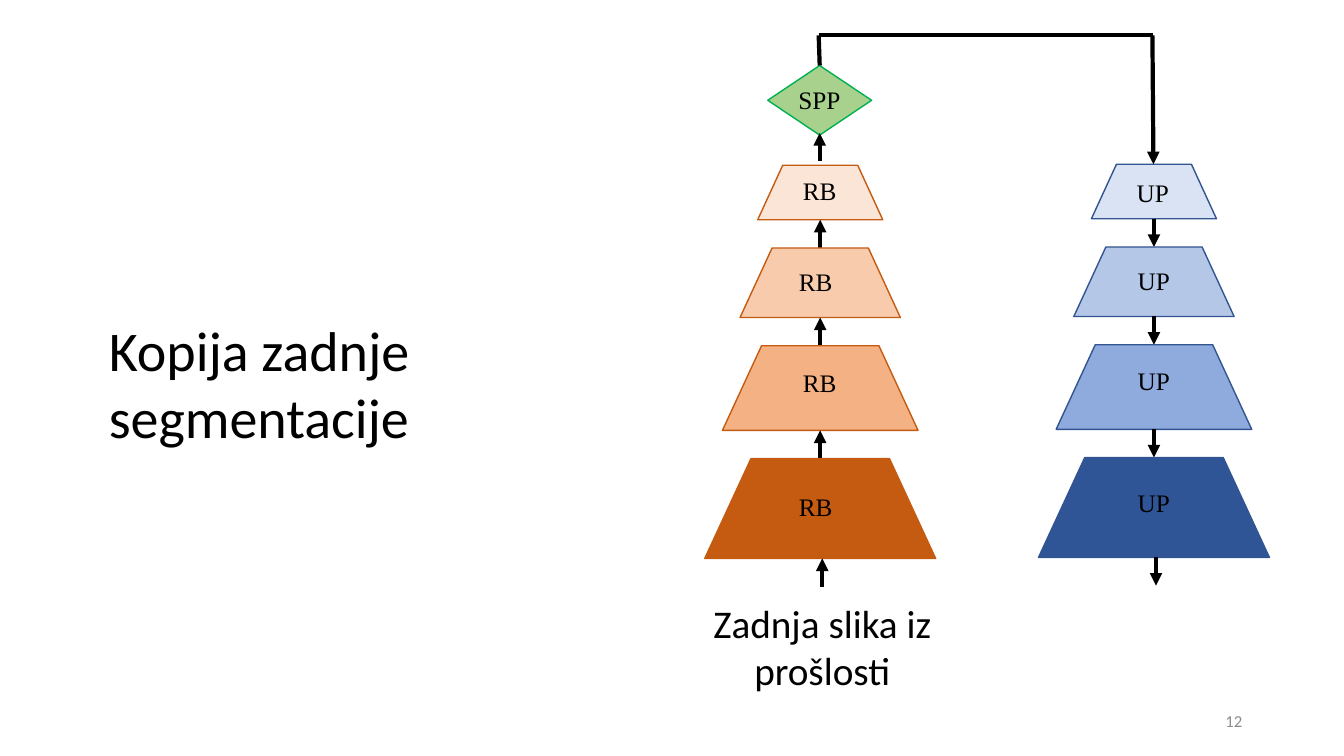
from pptx import Presentation
from pptx.dml.color import RGBColor
from pptx.enum.shapes import MSO_CONNECTOR, MSO_SHAPE
from pptx.enum.text import MSO_ANCHOR, MSO_AUTO_SIZE, PP_ALIGN
from pptx.oxml.ns import qn
from pptx.util import Inches, Pt
from lxml import etree

STRAIGHT = MSO_CONNECTOR.STRAIGHT
TRAP = MSO_SHAPE.FLOWCHART_MANUAL_OPERATION
DIAMOND = MSO_SHAPE.FLOWCHART_DECISION
MIDDLE, TOP = MSO_ANCHOR.MIDDLE, MSO_ANCHOR.TOP
LEFT, CENTER, RIGHT = PP_ALIGN.LEFT, PP_ALIGN.CENTER, PP_ALIGN.RIGHT
NO_FIT = MSO_AUTO_SIZE.NONE

COLORS = {
    "text": "000000", "page": "8C8C8C",
    "orange": "C55A11", "blue": "325491",
    "spp": "A9D18E", "green": "00B050",
}
RB_FILLS = ("FBE5D6", "F8CBAD", "F4B183", "C55A11")
UP_FILLS = ("DAE3F3", "B4C7E7", "8FAADC", "2F5597")

# The grid has one-inch cells; boxes are (column, row, columns, rows).
COLS, ROWS = 13.33, 7.5
GAP = 0.28
SERIF, SANS = "Times New Roman", "Calibri"


def rgb(name):
    return RGBColor.from_string(COLORS.get(name, name))


def cells(*sizes):
    return [Inches(size) for size in sizes]


def write(shape, text, size, font, align=LEFT, anchor=TOP, wrap=True, color="text"):
    frame = shape.text_frame
    frame.text = text
    frame.word_wrap = wrap
    frame.auto_size = NO_FIT
    frame.vertical_anchor = anchor
    para = frame.paragraphs[0]
    para.alignment = align
    for run in para.runs:
        run.font.size = Pt(size)
        run.font.name = font
        run.font.color.rgb = rgb(color)


def label(slide, text, x, y):
    box = slide.shapes.add_textbox(*cells(x, y, 0.6, 0.4))
    write(box, text, 18, SERIF, wrap=False)


def block(slide, kind, box, fill, line):
    shape = slide.shapes.add_shape(kind, *cells(*box))
    shape.shadow.inherit = False
    shape.fill.solid()
    shape.fill.fore_color.rgb = rgb(fill)
    shape.line.color.rgb = rgb(line)
    shape.line.width = Pt(1)
    return shape


def link(slide, start, end, head=True):
    line = slide.shapes.add_connector(STRAIGHT, *cells(*start, *end))
    line.line.color.rgb = rgb("text")
    line.line.width = Pt(3)
    if head:
        tail = etree.SubElement(line.line._ln, qn("a:tailEnd"))
        tail.set("type", "triangle")
    etree.SubElement(line._element.spPr, qn("a:effectLst"))


def tower(slide, box, text, fills, line, shifts, upward):
    """Stack growing trapezoids with an arrow below each one."""
    left, top, width, _ = box
    mid = left + width / 2
    for i, (fill, (dx, dy)) in enumerate(zip(fills, shifts)):
        wide, high = 1.24 + 0.35 * i, 0.54 + 0.15 * i
        shape = block(slide, TRAP, (mid - wide / 2, top, wide, high), fill, line)
        shape.rotation = 180
        label(slide, text, mid + dx, top + dy)
        x = mid + (0.02 if i == len(fills) - 1 else 0)
        ends = [(x, top + high), (x, top + high + GAP)]
        link(slide, *(reversed(ends) if upward else ends))
        top += high + GAP


def bridge(slide, box):
    """Join the two towers through the SPP diamond."""
    left, top, width, height = box
    right = left + width
    wide, high = 1.03, 0.69
    peak = top + 0.3
    block(slide, DIAMOND, (left - wide / 2, peak, wide, high), "spp", "green")
    label(slide, "SPP", left - 0.31, peak + 0.14)
    link(slide, (left, peak + high + GAP - 0.02), (left, peak + high - 0.02))
    link(slide, (left, peak), (left - 0.01, top), head=False)
    link(slide, (left - 0.01, top), (right, top), head=False)
    link(slide, (right - 0.01, top), (right, top + height))


def words(slide):
    title = slide.shapes.title
    title.left, title.top, title.width, title.height = cells(0.98, 3.07, 4.35, 1.45)
    write(title, "Kopija zadnje segmentacije", 40, SANS, anchor=MIDDLE)
    note = slide.shapes.add_textbox(*cells(6.44, 5.9, 3.43, 1.04))
    write(note, "Zadnja slika iz prošlosti", 28, SANS, CENTER)
    page = slide.shapes.add_textbox(*cells(9.42, 6.95, 3, 0.4))
    write(page, "12", 12, SANS, RIGHT, MIDDLE, color="page")


def main():
    deck = Presentation()
    deck.slide_width, deck.slide_height = cells(COLS, ROWS)
    slide = deck.slides.add_slide(deck.slide_layouts[5])
    words(slide)
    tower(slide, (6.99, 1.64, 2.29, 4.18), "RB", RB_FILLS, "orange",
          ((-0.27, 0.05), (-0.31, 0.13), (-0.27, 0.16), (-0.31, 0.28)), True)
    tower(slide, (10.3, 1.63, 2.29, 4.18), "UP", UP_FILLS, "blue",
          ((-0.27, 0.08), (-0.26, 0.13), (-0.26, 0.16), (-0.26, 0.25)), False)
    bridge(slide, (8.13, 0.35, 3.31, 1.28))
    deck.save("out.pptx")


if __name__ == "__main__":
    main()
